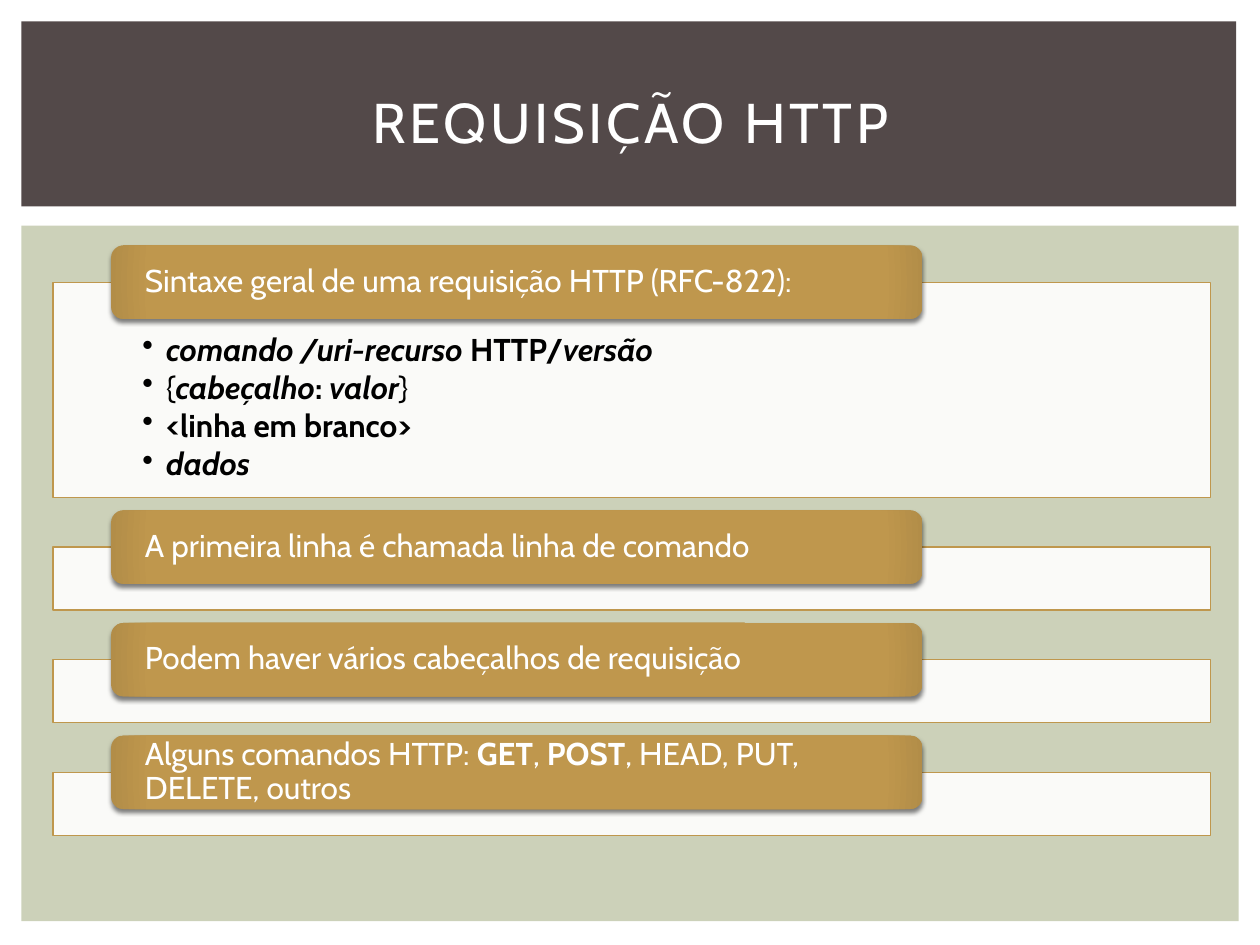
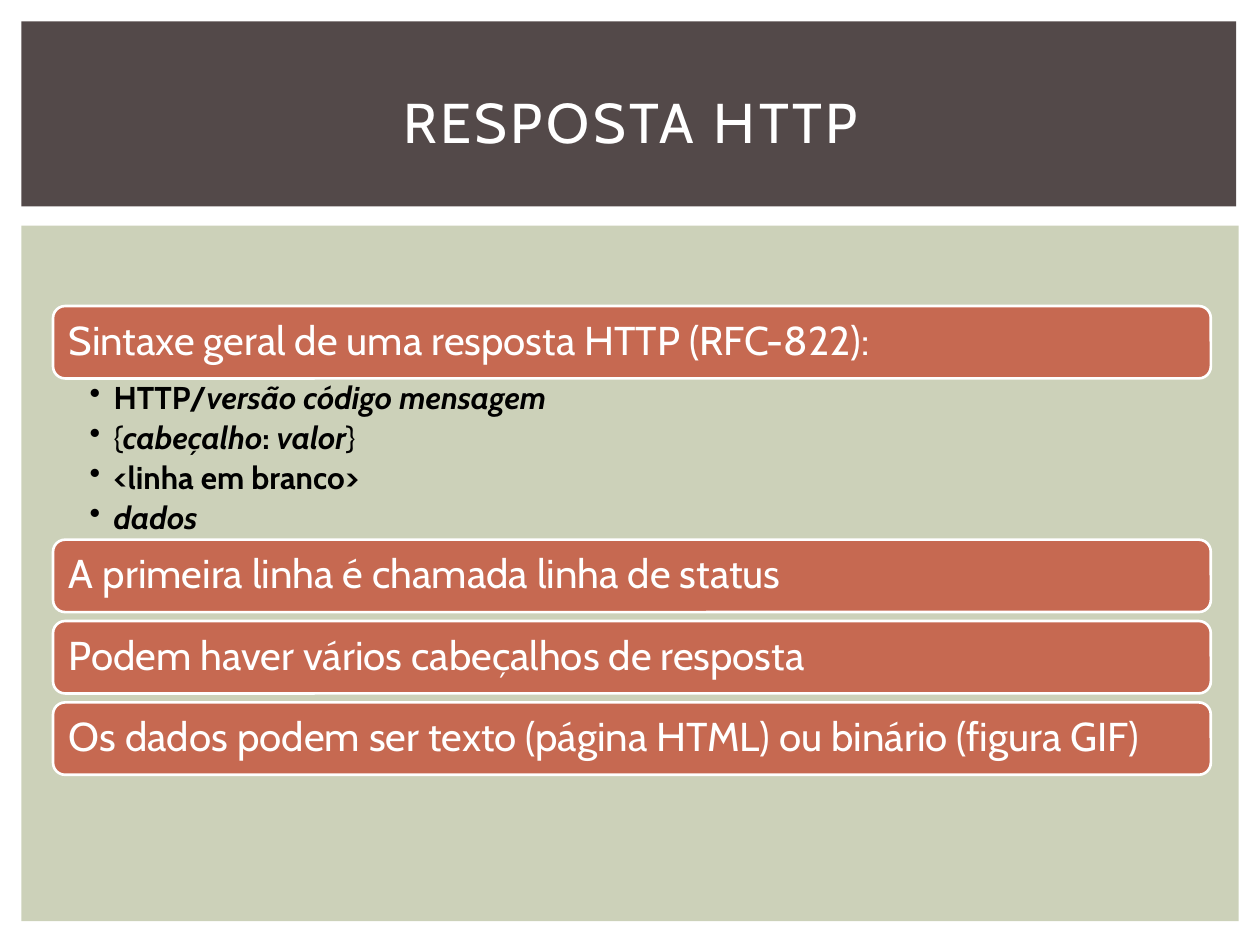
"""Build two slides on the syntax of HTTP requests and responses."""
from lxml.etree import SubElement
from pptx import Presentation
from pptx.dml.color import RGBColor
from pptx.enum.shapes import MSO_SHAPE as SHAPE
from pptx.enum.text import MSO_ANCHOR as ANCHOR, MSO_AUTO_SIZE as FIT, PP_ALIGN as ALIGN
from pptx.oxml import parse_xml
from pptx.oxml.ns import nsdecls, qn
from pptx.util import Cm, Pt

FONT = "Cabin"
WHITE, BLACK, DARK, GREEN = "FFFFFF", "000000", "534949", "CCD1B9"
GOLD, GOLD_EDGE, RED = "BF974D", "B28D48", "C66951"

BODY_BAND = (0.43, 4.55, 24.54, 14.02)
TITLE_BAND = (0.43, 0.43, 24.49, 3.73)
TITLE_BOX = (1.07, 0.99, 23.29, 2.92)
LEFT, WIDTH = 1.07, 23.34

MESSAGE_TAIL = [
    [("{", ""), ("cabeçalho", "bi"), (": ", "b"), ("valor", "bi"), ("}", "")],
    [("<linha em branco>", "b")],
    [("dados", "bi")],
]
REQUEST = {
    "title": "REQUISIÇÃO HTTP",
    "syntax": [[("comando /uri-recurso ", "bi"), ("HTTP/", "b"), ("versão", "bi")]] + MESSAGE_TAIL,
    "topics": [
        [("Sintaxe geral de uma requisição HTTP (RFC-822):", "")],
        [("A primeira linha é chamada linha de comando", "")],
        [("Podem haver vários cabeçalhos de requisição", "")],
        [("Alguns comandos HTTP: ", ""), ("GET", "b"), (", ", ""), ("POST", "b"),
         (", HEAD, PUT, DELETE, outros", "")],
    ],
}
RESPONSE = {
    "title": "RESPOSTA HTTP",
    "syntax": [[("HTTP/", "b"), ("versão código mensagem", "bi")]] + MESSAGE_TAIL,
    "topics": [
        [("Sintaxe geral de uma resposta HTTP (RFC-822):", "")],
        [("A primeira linha é chamada linha de status", "")],
        [("Podem haver vários cabeçalhos de resposta", "")],
        [("Os dados podem ser texto (página HTML) ou binário (figura GIF)", "")],
    ],
}


def rgb(color):
    return RGBColor.from_string(color)


def set_attrs(obj, values):
    for name, value in values.items():
        setattr(obj, name, value)


def add_box(slide, kind, box, fill, line=None, weight=1.0):
    s = slide.shapes.add_shape(kind, *map(Cm, box))
    s.shadow.inherit = False
    s.fill.solid()
    s.fill.fore_color.rgb = rgb(fill)
    if line:
        s.line.color.rgb = rgb(line)
        s.line.width = Pt(weight)
    else:
        s.line.fill.background()
    return s


def write(s, paragraphs, size, color, insets, anchor=ANCHOR.MIDDLE, align=ALIGN.LEFT,
          spacing=0.9, after=0, bullet=False):
    tf = s.text_frame
    sides = ("margin_left", "margin_top", "margin_right", "margin_bottom")
    set_attrs(tf, {"word_wrap": True, "auto_size": FIT.NONE, "vertical_anchor": anchor,
                   **dict(zip(sides, map(Cm, insets)))})
    for i, runs in enumerate(paragraphs):
        p = tf.add_paragraph() if i else tf.paragraphs[0]
        set_attrs(p, {"alignment": align, "line_spacing": spacing, "space_after": Pt(after)})
        if bullet:
            pPr = p._p.get_or_add_pPr()
            pPr.set("marL", str(Cm(0.48)))
            pPr.set("indent", str(-Cm(0.48)))
            SubElement(pPr, qn("a:buChar"), char="•")
        for text, style in runs:
            r = p.add_run()
            r.text = text
            set_attrs(r.font, {"name": FONT, "size": Pt(size), "bold": "b" in style,
                               "italic": "i" in style})
            r.font.color.rgb = rgb(color)


def add_base(prs, title):
    slide = prs.slides.add_slide(prs.slide_layouts[5])
    sp = slide.shapes.title
    for box, fill in ((BODY_BAND, GREEN), (TITLE_BAND, DARK)):
        sp._element.addprevious(add_box(slide, SHAPE.RECTANGLE, box, fill)._element)
    set_attrs(sp, dict(zip(("left", "top", "width", "height"), map(Cm, TITLE_BOX))))
    write(sp, [[(title, "")]], 32, WHITE, (0.25, 0.13, 0.25, 0.13), align=ALIGN.CENTER, spacing=1.0)
    sp.text_frame.paragraphs[0].runs[0].font._element.set("spc", "200")
    return slide


def fade(s, opacity):
    color = s._element.spPr.find(qn("a:solidFill")).find(qn("a:srgbClr"))
    SubElement(color, qn("a:alpha"), val=str(opacity * 1000))


def emboss(s):
    spPr = s._element.spPr
    stops = "".join(f'<a:gs pos="{pos * 1000}"><a:srgbClr val="{color}"/></a:gs>'
                    for pos, color in ((0, GOLD), (90, GOLD), (100, GOLD_EDGE)))
    gradient = parse_xml(
        f'<a:gradFill {nsdecls("a")} rotWithShape="1"><a:gsLst>{stops}</a:gsLst><a:path path="circle">'
        '<a:fillToRect l="100000" t="100000" r="100000" b="100000"/></a:path></a:gradFill>')
    spPr.replace(spPr.find(qn("a:solidFill")), gradient)
    spPr.find(qn("a:effectLst")).append(parse_xml(
        f'<a:outerShdw {nsdecls("a")} blurRad="{Pt(2.5)}" dist="{Pt(2)}" dir="5400000" rotWithShape="0">'
        f'<a:srgbClr val="{BLACK}"><a:alpha val="50000"/></a:srgbClr></a:outerShdw>'))


def add_request(prs):
    slide = add_base(prs, REQUEST["title"])
    top, gap, tab_height = 5.69, 1.0, 1.48
    for i, topic in enumerate(REQUEST["topics"]):
        height = 1.27 if i else 4.34
        panel = add_box(slide, SHAPE.RECTANGLE, (LEFT, top, WIDTH, height), WHITE, GOLD, 0.79)
        fade(panel, 90)
        if not i:
            write(panel, REQUEST["syntax"], 18, BLACK, (1.8, 1.04, 1.8, 0.36),
                  anchor=ANCHOR.TOP, after=2.4, bullet=True)
        tab = add_box(slide, SHAPE.ROUNDED_RECTANGLE,
                      (2.24, top - tab_height / 2, 16.36, tab_height), GOLD)
        emboss(tab)
        write(tab, [topic], 18, WHITE, (0.61, 0, 0.61, 0))
        top += height + gap


def add_response(prs):
    slide = add_base(prs, RESPONSE["title"])
    top, gap, bar_height, syntax_height = 6.17, 0.18, 1.46, 3.25
    for i, topic in enumerate(RESPONSE["topics"]):
        bar = add_box(slide, SHAPE.ROUNDED_RECTANGLE, (LEFT, top, WIDTH, bar_height), RED, WHITE, 1.5)
        write(bar, [topic], 23, WHITE, [0.25] * 4)
        top += bar_height
        if not i:
            s = slide.shapes.add_textbox(*map(Cm, (LEFT, top, WIDTH, syntax_height)))
            write(s, RESPONSE["syntax"], 18, BLACK, (0.74, 0.08, 0.46, 0.08),
                  anchor=ANCHOR.TOP, after=3.3, bullet=True)
        top += gap if i else syntax_height


def main():
    prs = Presentation()
    prs.slide_width, prs.slide_height = Cm(25.4), Cm(19.05)
    add_request(prs)
    add_response(prs)
    prs.save("out.pptx")


if __name__ == "__main__":
    main()
